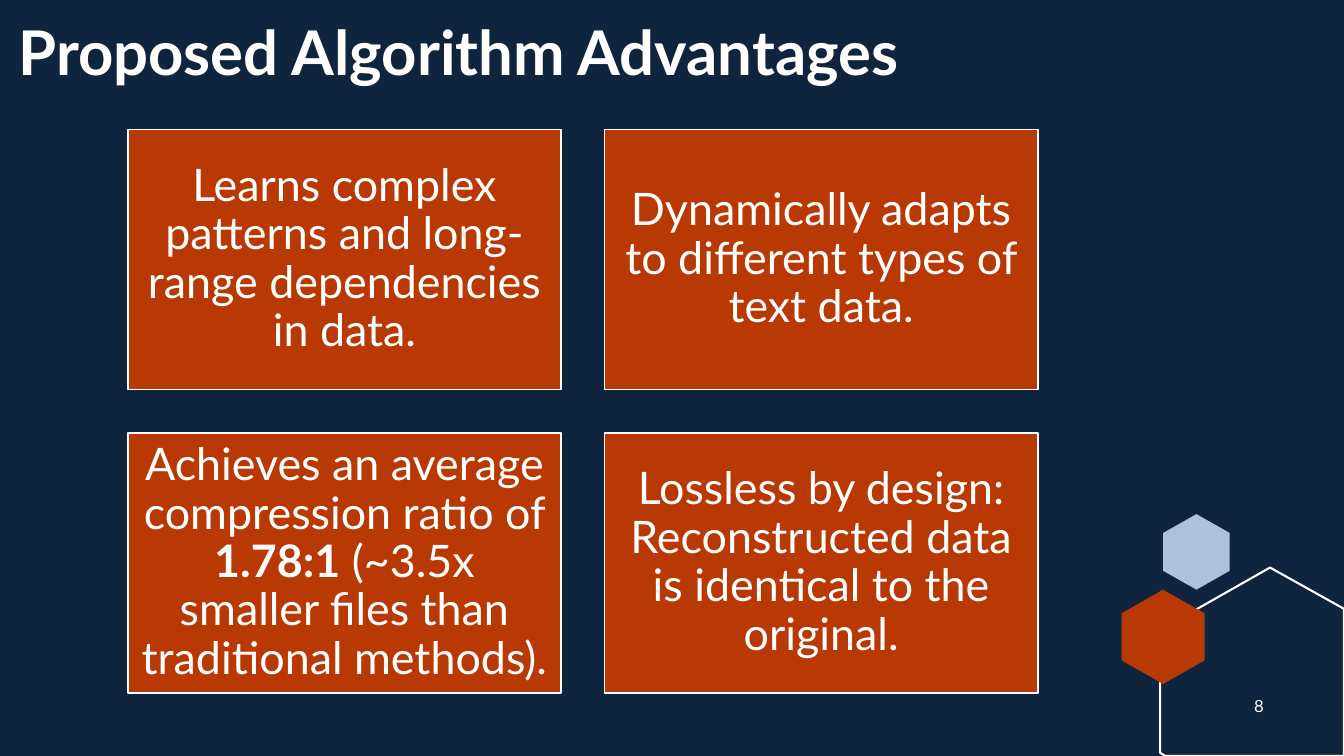
import pptx
import pptx.dml.color
import pptx.enum.shapes
import pptx.enum.text
import pptx.util

Pt = pptx.util.Pt
ALIGN = pptx.enum.text.PP_ALIGN
ANCHOR = pptx.enum.text.MSO_ANCHOR

TITLE = "Proposed Algorithm Advantages"
SLIDE_NUMBER = "8"
# Each card is a list of (text, bold) runs, in reading order.
CARDS = [
    [("Learns complex patterns and long-range dependencies in data.", False)],
    [("Dynamically adapts to different types of text data.", False)],
    [
        ("Achieves an average compression ratio of ", False),
        ("1.78:1", True),
        (" (~3.5x smaller files than traditional methods).", False),
    ],
    [("Lossless by design: Reconstructed data is identical to the original.", False)],
]

NAVY, RUST, PALE_BLUE, WHITE = "0F253E", "B83903", "AEC1D8", "FFFFFF"
FONT = "Lato"

# Lengths in points
SLIDE_WIDTH, SLIDE_HEIGHT = 960, 540
COLUMNS = 2
CARD_LEFT, CARD_TOP = 91.4, 92.5
CARD_WIDTH, CARD_HEIGHT, CARD_GAP = 309.5, 185.7, 31
CARD_INSET = 9.6
LARGE_OUTLINE = [(907.2, 405.4), (960, 434.9), (960, 540),
                 (832.3, 540), (828.7, 537.8), (828.7, 450)]


def color(hex_value):
    return pptx.dml.color.RGBColor.from_string(hex_value)


def paint(shape, fill=None, line=None, line_width=1):
    shape.shadow.inherit = False
    if fill:
        shape.fill.solid()
        shape.fill.fore_color.rgb = color(fill)
    else:
        shape.fill.background()
    if line:
        shape.line.color.rgb = color(line)
        shape.line.width = Pt(line_width)
    else:
        shape.line.fill.background()


def write_text(shape, runs, size, align=ALIGN.CENTER, anchor=ANCHOR.MIDDLE,
               line_spacing=0.9, inset=None):
    frame = shape.text_frame
    frame.word_wrap = True
    frame.auto_size = pptx.enum.text.MSO_AUTO_SIZE.NONE
    frame.vertical_anchor = anchor
    if inset is not None:
        frame.margin_left = frame.margin_right = Pt(inset)
        frame.margin_top = frame.margin_bottom = Pt(inset)
    paragraph = frame.paragraphs[0]
    paragraph.alignment = align
    paragraph.line_spacing = line_spacing
    for text, bold in runs:
        run = paragraph.add_run()
        run.text = text
        run.font.name = FONT
        run.font.size = Pt(size)
        run.font.bold = bold
        run.font.color.rgb = color(WHITE)


def add_polygon(slide, points, **style):
    corners = [(Pt(x), Pt(y)) for x, y in points]
    builder = slide.shapes.build_freeform(*corners[0])
    builder.add_line_segments(corners[1:], close=True)
    paint(builder.convert_to_shape(), **style)


def hexagon(left, top, width, height):
    """Return the corners of a hexagon that stands on a point."""
    middle, right = left + width / 2, left + width
    upper, lower = top + height / 4, top + height * 3 / 4
    return [(middle, top), (right, upper), (right, lower),
            (middle, top + height), (left, lower), (left, upper)]


def add_card(slide, index, runs):
    row, column = divmod(index, COLUMNS)
    card = slide.shapes.add_shape(
        pptx.enum.shapes.MSO_SHAPE.RECTANGLE,
        Pt(CARD_LEFT + column * (CARD_WIDTH + CARD_GAP)),
        Pt(CARD_TOP + row * (CARD_HEIGHT + CARD_GAP)),
        Pt(CARD_WIDTH), Pt(CARD_HEIGHT))
    paint(card, fill=RUST, line=WHITE)
    write_text(card, runs, 32, inset=CARD_INSET)


def main():
    presentation = pptx.Presentation()
    presentation.slide_width = Pt(SLIDE_WIDTH)
    presentation.slide_height = Pt(SLIDE_HEIGHT)
    title_only = presentation.slide_layouts.get_by_name("Title Only")
    slide = presentation.slides.add_slide(title_only)
    slide.background.fill.solid()
    slide.background.fill.fore_color.rgb = color(NAVY)

    add_polygon(slide, hexagon(830.8, 367.2, 47.6, 54), fill=PALE_BLUE)
    add_polygon(slide, LARGE_OUTLINE, line=WHITE, line_width=1.5)
    add_polygon(slide, hexagon(801.2, 421.2, 59.2, 67.4), fill=RUST)

    title = slide.shapes.title
    title.left, title.top = Pt(6), Pt(12)
    title.width, title.height = Pt(790), Pt(137)
    write_text(title, [(TITLE, True)], 44, align=ALIGN.LEFT, anchor=ANCHOR.TOP)

    number = slide.shapes.add_textbox(Pt(881.3), Pt(489.6), Pt(36), Pt(29))
    write_text(number, [(SLIDE_NUMBER, False)], 12, line_spacing=1)

    for index, runs in enumerate(CARDS):
        add_card(slide, index, runs)

    presentation.save("out.pptx")


if __name__ == "__main__":
    main()
